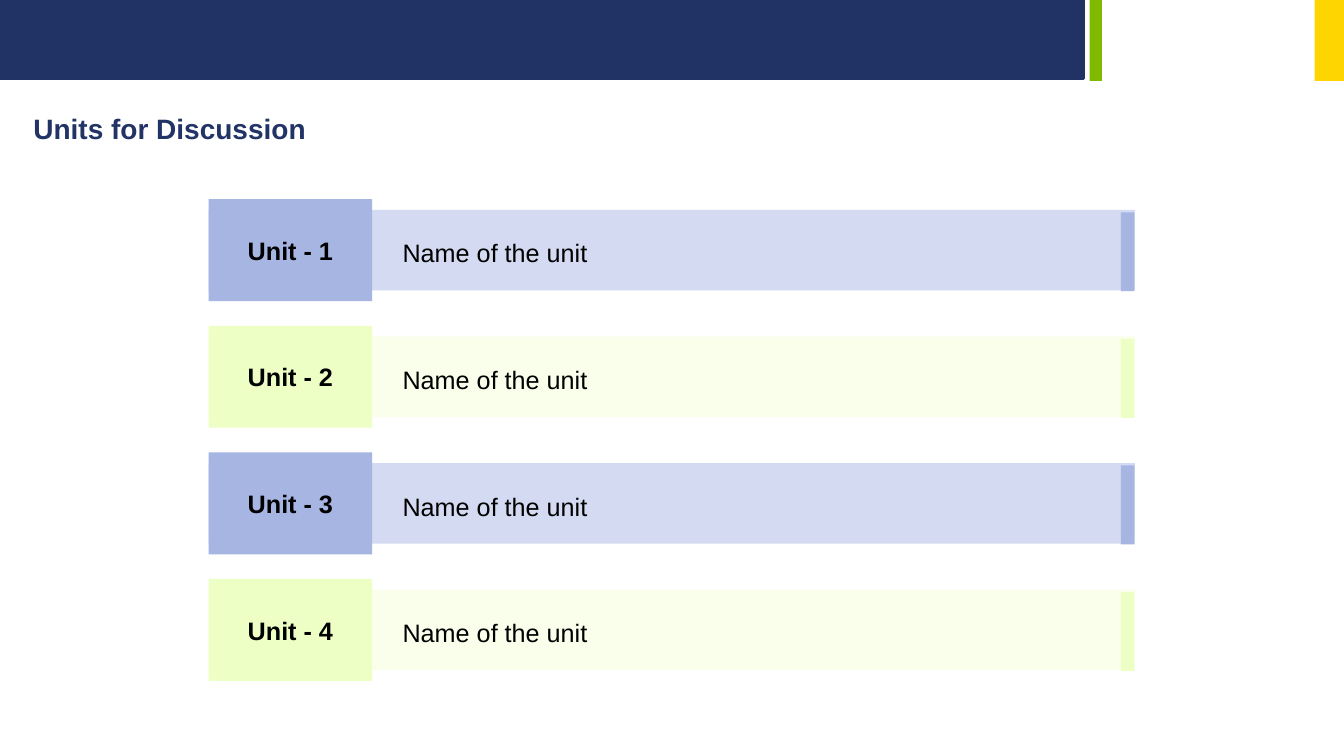
from pptx import Presentation
from pptx.dml.color import RGBColor
from pptx.enum import shapes, text
from pptx.util import Cm, Pt

NAVY, GREEN, YELLOW = "213264", "7FBA00", "FED500"
BLUE_ROW = ("A7B5E3", "D3DAF1")
LIME_ROW = ("EDFFC5", "F9FFEB")
UNITS = [(f"Unit - {number}", "Name of the unit") for number in range(1, 5)]


def rgb(value):
    return RGBColor.from_string(value)


def add_block(parent, left, top, width, height, fill, line=None):
    """Add a flat rectangle; lengths are in centimetres."""
    block = parent.shapes.add_shape(
        shapes.MSO_SHAPE.RECTANGLE, Cm(left), Cm(top), Cm(width), Cm(height))
    block.shadow.inherit = False
    block.fill.solid()
    block.fill.fore_color.rgb = rgb(fill)
    if line:
        block.line.color.rgb = rgb(line)
        block.line.width = Pt(2)
    else:
        block.line.fill.background()
    return block


def write(holder, words, size=18, color="000000", bold=False,
          align=text.PP_ALIGN.CENTER):
    """Fill a shape with one formatted paragraph."""
    frame = holder.text_frame
    frame.word_wrap = True
    frame.auto_size = text.MSO_AUTO_SIZE.NONE
    frame.vertical_anchor = text.MSO_ANCHOR.MIDDLE
    frame.margin_left = frame.margin_right = Cm(0.33)
    frame.margin_top = frame.margin_bottom = Cm(0.17)
    paragraph = frame.paragraphs[0]
    paragraph.alignment = align
    run = paragraph.add_run()
    run.text = words
    run.font.name = "Arial"
    run.font.size = Pt(size)
    run.font.bold = bold
    run.font.color.rgb = rgb(color)


def add_header(slide, width, height):
    # Navy band with green and yellow accents
    add_block(slide, 0, 0, 27.31, height - 0.06, NAVY, line=NAVY)
    add_block(slide, 27.46, 0, 0.31, height, GREEN)
    add_block(slide, width - 0.74, 0, 0.74, height, YELLOW)


def add_heading(slide, left, top, width, height):
    heading = slide.shapes.title
    heading.left, heading.top = Cm(left), Cm(top)
    heading.width, heading.height = Cm(width), Cm(height)
    write(heading, "Units for Discussion", size=20, color="223366", bold=True,
          align=text.PP_ALIGN.LEFT)


def add_unit(slide, left, top, width, height, label, name, colors):
    strong, pale = colors
    tile_width, strip_width, bar_height = 4.12, 0.34, 2.03
    bar_top = top + (height - bar_height) / 2
    row = slide.shapes.add_group_shape()

    # Pale bar behind the whole row
    add_block(row, left, bar_top, width, bar_height, pale)

    # Tile with the unit's number
    tile = add_block(row, left, top, tile_width, height, strong)
    write(tile, label, bold=True)

    # Name of the unit beside the tile
    unit_name = row.shapes.add_textbox(
        Cm(left + tile_width + 0.2), Cm(top + 0.79), Cm(5.79), Cm(1.12))
    write(unit_name, name)

    # Closing strip at the right end
    add_block(row, left + width - strip_width - 0.01, bar_top + 0.06,
              strip_width, bar_height - 0.04, strong)


def add_units(slide, left, top, width, row_height, pitch):
    for index, (label, name) in enumerate(UNITS):
        colors = LIME_ROW if index % 2 else BLUE_ROW
        add_unit(slide, left, top + index * pitch, width, row_height,
                 label, name, colors)


def main():
    deck = Presentation()
    deck.slide_width, deck.slide_height = Cm(33.87), Cm(19.05)
    slide = deck.slides.add_slide(deck.slide_layouts[5])
    add_header(slide, 33.87, 2.04)
    add_heading(slide, 0.51, 2.64, 7.7, 1.2)
    add_units(slide, 5.26, 5.02, 23.34, 2.57, pitch=3.19)
    deck.save("out.pptx")


if __name__ == "__main__":
    main()
